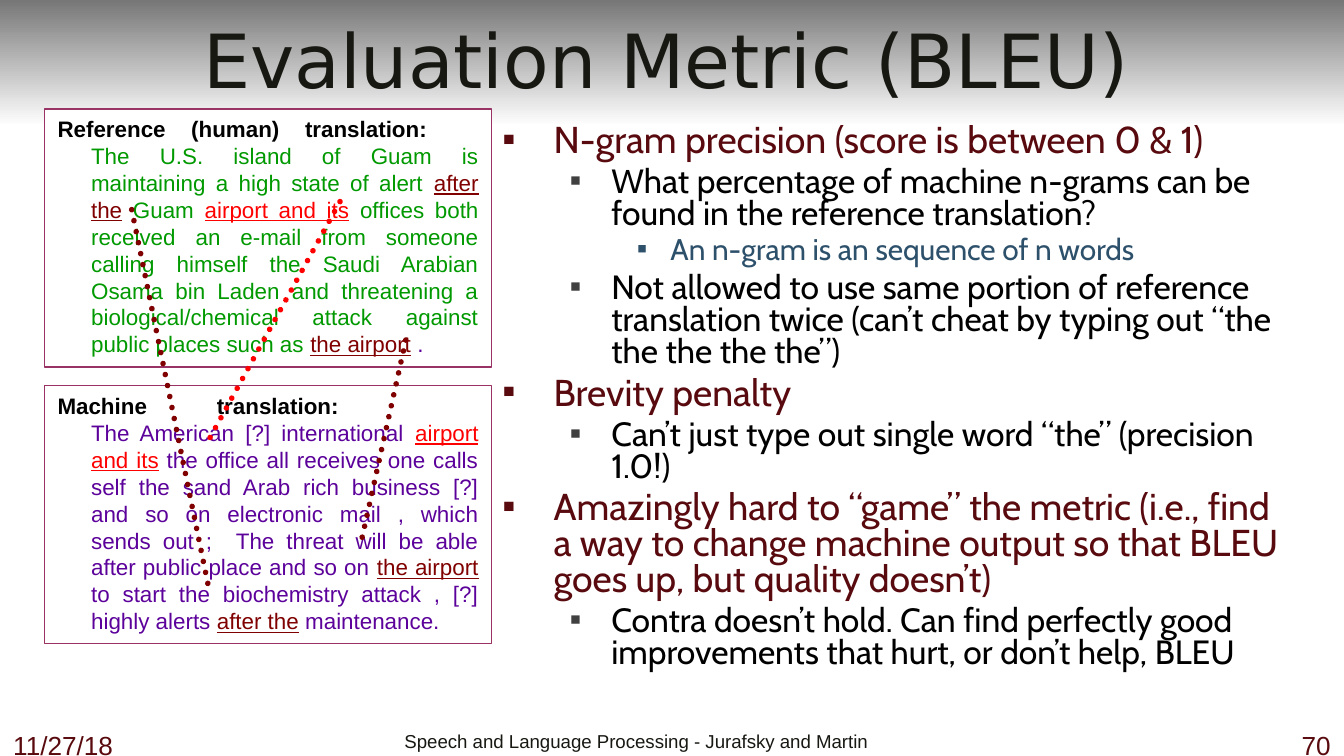
from pptx import Presentation
from pptx.dml.color import RGBColor
from pptx.enum.dml import MSO_LINE_DASH_STYLE as Dash
from pptx.enum.shapes import MSO_CONNECTOR, MSO_SHAPE
from pptx.enum.text import MSO_ANCHOR as Anchor, MSO_AUTO_SIZE as AutoSize, PP_ALIGN as Align
from pptx.oxml.ns import qn
from pptx.util import Inches, Pt
from lxml.etree import SubElement

WIDTH = 10
HEIGHT = WIDTH * 9 / 16
COLORS = {
    "band_top": "777777", "white": "FFFFFF", "ink": "181813", "black": "000000",
    "maroon": "590A0E", "bullet": "404040", "steel": "2D506B", "frame": "993366",
    "green": "009900", "purple": "5C029B", "red": "FF0000", "dark_red": "800000",
}
# Per outline level: text size, colour, left margin, hanging indent, bullet colour
LEVELS = [
    (20, "maroon", 0.38, 0.38, "maroon"),
    (18, "black", 0.81, 0.31, "bullet"),
    (16, "steel", 1.25, 0.25, "steel"),
]
OUTLINE = [
    (0, "N-gram precision (score is between 0 & 1)"),
    (1, "What percentage of machine n-grams can be found in the reference translation?"),
    (2, "An n-gram is an sequence of n words"),
    (1, "Not allowed to use same portion of reference translation twice "
        "(can’t cheat by typing out “the the the the the”)"),
    (0, "Brevity penalty"),
    (1, "Can’t just type out single word “the” (precision 1.0!)"),
    (0, "Amazingly hard to “game” the metric (i.e., find a way to change machine output "
        "so that BLEU goes up, but quality doesn’t)"),
    (1, "Contra doesn’t hold. Can find perfectly good improvements that hurt, "
        "or don’t help, BLEU"),
]
# Matched n-grams are the red and dark red pieces
REFERENCE = [
    ("The U.S. island of Guam is maintaining a high state of alert ", "green"),
    ("after the", "dark_red"), (" ", "purple"), ("Guam ", "green"),
    ("airport and its", "red"), (" ", "purple"),
    ("offices both received an e-mail from someone calling himself the Saudi Arabian "
     "Osama bin Laden and threatening a biological/chemical attack against public "
     "places such as ", "green"),
    ("the airport", "dark_red"), (" .", "purple"),
]
MACHINE = [
    ("The American [?] international ", "purple"), ("airport and its", "red"),
    (" the office all receives one calls self the sand Arab rich business [?] and so on "
     "electronic mail , which sends out ;  The threat will be able after public place "
     "and so on ", "purple"),
    ("the airport", "dark_red"),
    (" to start the biochemistry attack , [?] highly alerts ", "purple"),
    ("after the", "dark_red"), (" maintenance.", "purple"),
]
MATCHES = [
    ((2.53, 1.5), (1.55, 3.28), "red"),
    ((0.98, 1.56), (1.55, 4.36), "dark_red"),
    ((3.02, 2.53), (2.69, 4.02), "dark_red"),
]


def rgb(name):
    return RGBColor.from_string(COLORS[name])


def box(*lengths):
    return [Inches(length) for length in lengths]


def set_font(font, size, face, color):
    font.size, font.name = Pt(size), face
    font.color.rgb = rgb(color)


def set_indent(paragraph, left, hanging):
    properties = paragraph._p.get_or_add_pPr()
    properties.set("marL", str(Inches(left)))
    properties.set("indent", str(-Inches(hanging)))
    return properties


def add_band(slide):
    band = slide.shapes.add_shape(MSO_SHAPE.RECTANGLE, *box(0, 0, WIDTH, 0.94))
    band.shadow.inherit = False
    band.line.fill.background()
    band.fill.gradient()
    band.fill.gradient_angle = 270
    for stop, color in zip(band.fill.gradient_stops, ("band_top", "white")):
        stop.color.rgb = rgb(color)
    # Behind the title
    slide.shapes._spTree.insert(2, band._element)


def set_title(slide, text):
    title = slide.shapes.title
    title.left, title.top, title.width, title.height = box(0.08, 0, 9.75, 0.88)
    frame = title.text_frame
    frame.text = text
    frame.auto_size, frame.vertical_anchor = AutoSize.NONE, Anchor.MIDDLE
    frame.paragraphs[0].alignment = Align.CENTER
    set_font(frame.paragraphs[0].font, 40, "DejaVu Sans", "ink")


def add_footer(slide, left, width, text, size, color, align=Align.LEFT, margin=0.1):
    frame = slide.shapes.add_textbox(*box(left, 5.38, width, 0.25)).text_frame
    frame.word_wrap = True
    frame.margin_left = Inches(margin)
    paragraph = frame.paragraphs[0]
    paragraph.text, paragraph.alignment = text, align
    set_font(paragraph.font, size, "Arial", color)


def add_outline(slide):
    frame = slide.shapes.add_textbox(*box(3.64, 0.88, 6.08, 4.91)).text_frame
    frame.word_wrap = True
    for index, (level, text) in enumerate(OUTLINE):
        paragraph = frame.add_paragraph() if index else frame.paragraphs[0]
        size, color, left, hanging, bullet_color = LEVELS[level]
        paragraph.text, paragraph.level = text, level
        paragraph.line_spacing, paragraph.space_before = 0.8, Pt(size * 0.2)
        properties = set_indent(paragraph, left, hanging)
        bullet = SubElement(properties, qn("a:buClr"))
        SubElement(bullet, qn("a:srgbClr")).set("val", COLORS[bullet_color])
        SubElement(properties, qn("a:buFont")).set("typeface", "Arial")
        SubElement(properties, qn("a:buChar")).set("char", "▪")
        set_font(paragraph.font, size, "Cabin", color)


def add_translation(slide, top, heading, pieces):
    panel = slide.shapes.add_shape(MSO_SHAPE.RECTANGLE, *box(0.33, top, 3.33, 1.92))
    panel.shadow.inherit = False
    panel.fill.solid()
    panel.fill.fore_color.rgb = rgb("white")
    panel.line.color.rgb, panel.line.width = rgb("frame"), Pt(0.75)
    frame = panel.text_frame
    frame.word_wrap, frame.vertical_anchor = True, Anchor.TOP
    frame.auto_size = AutoSize.SHAPE_TO_FIT_TEXT
    paragraph = frame.paragraphs[0]
    paragraph.alignment = Align.JUSTIFY
    set_indent(paragraph, 0.25, 0.25)
    set_font(paragraph.font, 12, "Arial", "black")
    for index, (text, color) in enumerate([(heading + "  ", "black")] + pieces):
        run = paragraph.add_run()
        run.text = text
        set_font(run.font, 12, "Arial", color)
        if index == 0:
            run.font.bold = True
            paragraph.add_line_break()
        elif color in ("red", "dark_red"):
            run.font.underline = True


def add_match(slide, start, end, color):
    match = slide.shapes.add_connector(MSO_CONNECTOR.STRAIGHT, *box(*start, *end))
    match.line.color.rgb, match.line.width = rgb(color), Pt(3)
    match.line.dash_style = Dash.ROUND_DOT
    match.line._get_or_add_ln().set("cap", "rnd")
    SubElement(match._element.spPr, qn("a:effectLst"))


def main():
    deck = Presentation()
    deck.slide_width, deck.slide_height = box(WIDTH, HEIGHT)
    slide = deck.slides.add_slide(deck.slide_layouts[5])

    # Header and footer
    add_band(slide)
    set_title(slide, "Evaluation Metric (BLEU)")
    add_footer(slide, 0, 1.33, "11/27/18", 14, "maroon")
    add_footer(slide, 1.33, 8.17, "Speech and Language Processing - Jurafsky and Martin",
               10, "ink", margin=1.68)
    add_footer(slide, 9.5, 0.5, "70", 14, "maroon", Align.RIGHT)

    # Metric on the right, compared translations on the left
    add_outline(slide)
    add_translation(slide, 0.81, "Reference (human) translation:", REFERENCE)
    add_translation(slide, 2.87, "Machine translation:", MACHINE)
    for match in MATCHES:
        add_match(slide, *match)

    deck.save("out.pptx")


if __name__ == "__main__":
    main()
